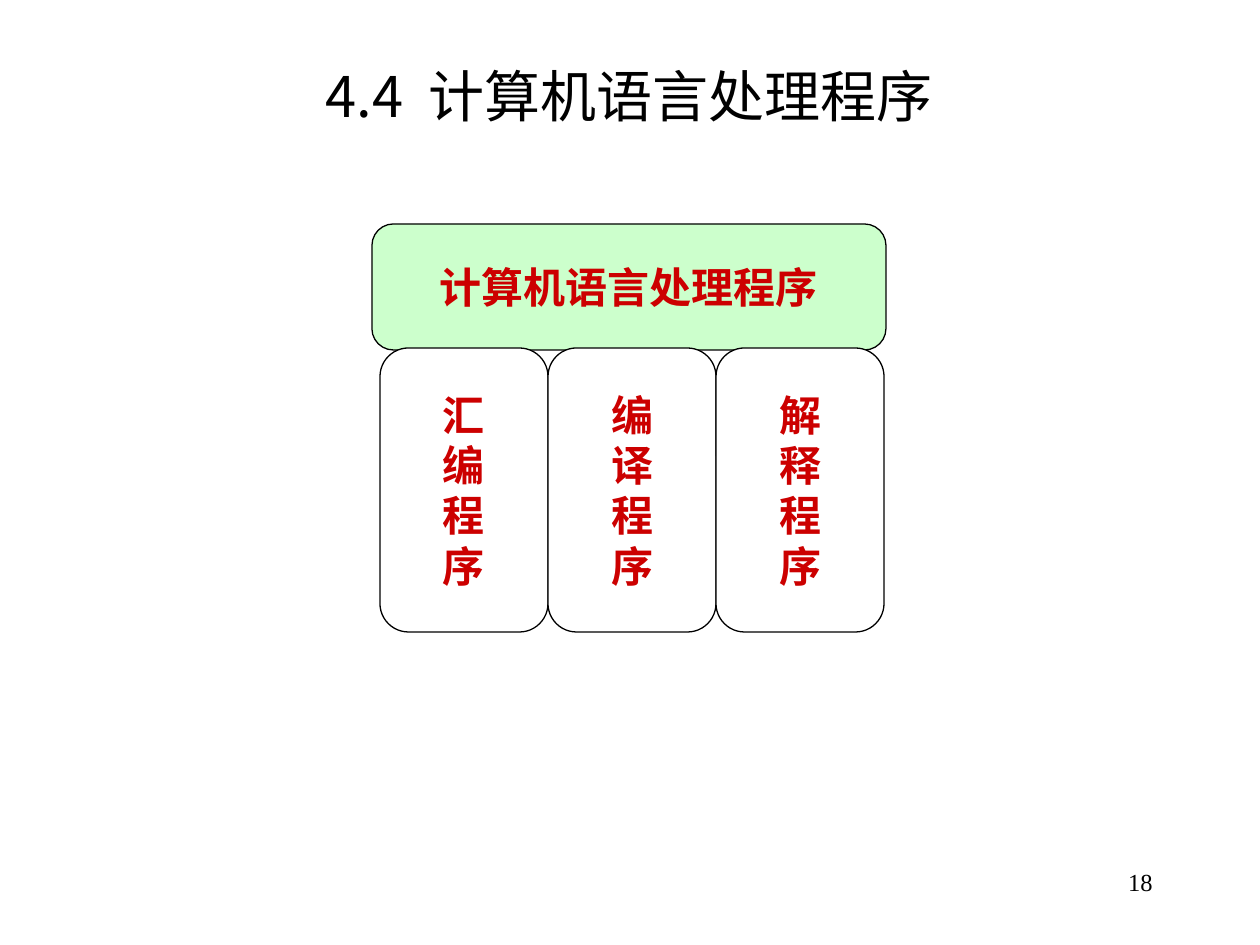
import pptx
import pptx.dml.color
import pptx.enum.shapes
import pptx.enum.text
import pptx.oxml
import pptx.oxml.ns
import pptx.util

SCALE = 914400 / 126
THEME = {
    "ink": "000000",
    "label": "CC0000",
    "header": "CCFFCC",
    "tile": "FFFFFF",
    "title_size": 32,
    "label_size": 24,
    "number_size": 14,
    "line_width": 0.75,
    "cjk_font": "Noto Sans CJK SC",
    "label_font": "Arial",
    "number_font": "Times New Roman",
}
ALIGN = pptx.enum.text.PP_ALIGN
ANCHOR = pptx.enum.text.MSO_ANCHOR


def px(*lengths):
    return [pptx.util.Emu(round(length * SCALE)) for length in lengths]


def write(box, text, font, size, color, bold=False, align=ALIGN.CENTER, anchor=ANCHOR.MIDDLE, wrap=True):
    frame = box.text_frame
    frame.text = text
    frame.word_wrap = wrap
    frame.vertical_anchor = anchor
    for para in frame.paragraphs:
        para.alignment = align
        for span in para.runs:
            span.font.name = THEME[font]
            span.font.size = pptx.util.Pt(THEME[size])
            span.font.bold = bold
            span.font.color.rgb = pptx.dml.color.RGBColor.from_string(THEME[color])
            east_asian = pptx.oxml.parse_xml(
                f'<a:ea {pptx.oxml.ns.nsdecls("a")} typeface="{THEME["cjk_font"]}"/>'
            )
            span.font._element.append(east_asian)


deck = pptx.Presentation()
deck.slide_width, deck.slide_height = px(1260, 945)
page = deck.slides.add_slide(deck.slide_layouts[6])

title = page.shapes.add_textbox(*px(213, 35, 833, 120))
write(title, "4.4  计算机语言处理程序", "cjk_font", "title_size", "ink")

tile_left, tile_top, tile_width, tile_height = 380, 348, 168, 284
blocks = [("计算机语言处理程序", "header", (372, 224, 514, 126))]
for index, name in enumerate(["汇编程序", "编译程序", "解释程序"]):
    place = (tile_left + index * tile_width, tile_top, tile_width, tile_height)
    blocks.append(("\n".join(name), "tile", place))

for text, fill, place in blocks:
    block = page.shapes.add_shape(pptx.enum.shapes.MSO_SHAPE.ROUNDED_RECTANGLE, *px(*place))
    block.shadow.inherit = False
    block.adjustments[0] = 0.17
    block.fill.solid()
    block.fill.fore_color.rgb = pptx.dml.color.RGBColor.from_string(THEME[fill])
    block.line.color.rgb = pptx.dml.color.RGBColor.from_string(THEME["ink"])
    block.line.width = pptx.util.Pt(THEME["line_width"])
    write(block, text, "label_font", "label_size", "label", bold=True, wrap=False)

page_number = page.shapes.add_textbox(*px(903, 861, 262, 63))
write(page_number, "18", "number_font", "number_size", "ink", align=ALIGN.RIGHT, anchor=ANCHOR.TOP)

deck.save("out.pptx")
